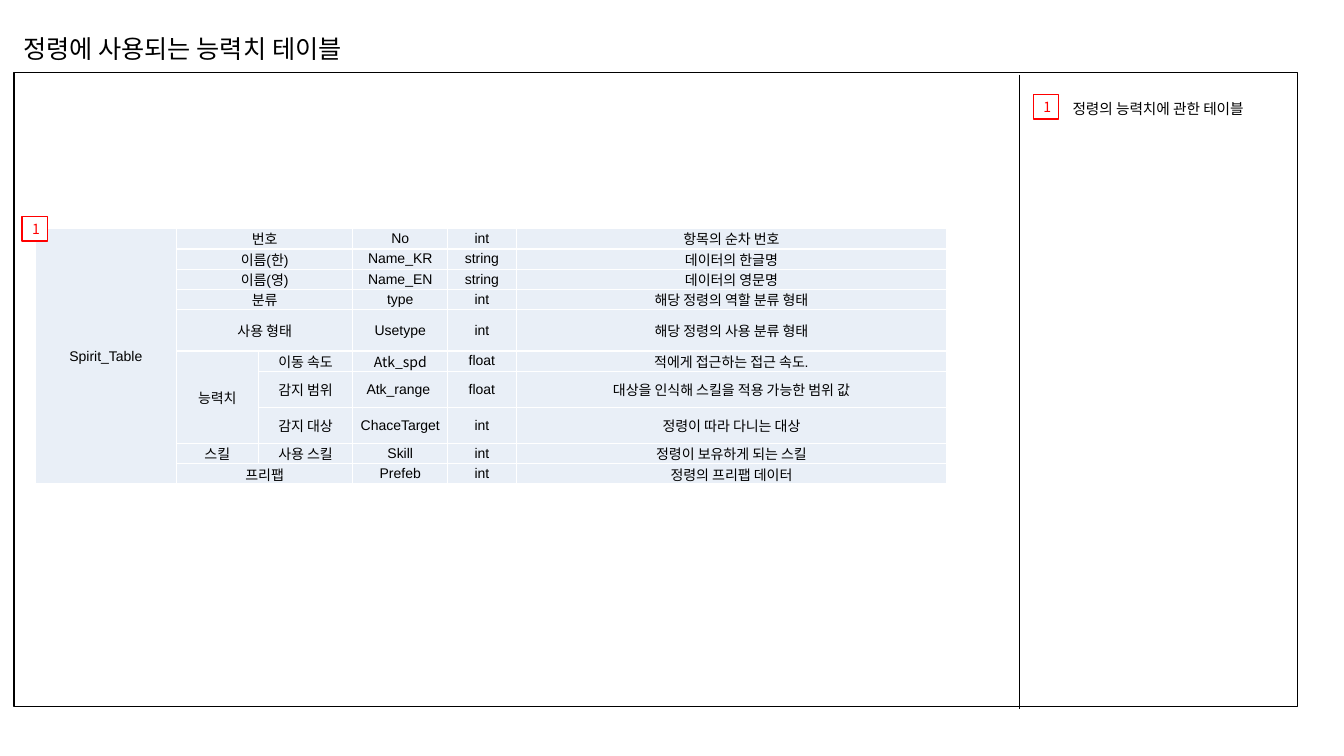
from lxml import etree
from pptx import Presentation
from pptx.dml.color import RGBColor
from pptx.enum.shapes import MSO_CONNECTOR, MSO_SHAPE
from pptx.enum.text import MSO_ANCHOR, PP_ALIGN
from pptx.oxml.ns import qn
from pptx.util import Inches, Pt

LEFT, CENTER = PP_ALIGN.LEFT, PP_ALIGN.CENTER
TOP, MIDDLE = MSO_ANCHOR.TOP, MSO_ANCHOR.MIDDLE
RECTANGLE = MSO_SHAPE.RECTANGLE
STRAIGHT = MSO_CONNECTOR.STRAIGHT
TITLE_ONLY = 5

ARIAL, NOTO = "Arial", "Noto Sans CJK KR"
BLACK, WHITE, RED, PALE_BLUE = "000000", "FFFFFF", "FF0000", "E9EFF7"

COLUMN_WIDTHS = [1.4, 0.81, 0.94, 0.94, 0.68, 4.27]
ROW_HEIGHTS = [0.2, 0.2, 0.2, 0.2, 0.41, 0.2, 0.36, 0.36, 0.2, 0.2]
FIELDS = [
    ("번호", None, "No", "int", "항목의 순차 번호"),
    ("이름(한)", None, "Name_KR", "string", "데이터의 한글명"),
    ("이름(영)", None, "Name_EN", "string", "데이터의 영문명"),
    ("분류", None, "type", "int", "해당 정령의 역할 분류 형태"),
    ("사용 형태", None, "Usetype", "int", "해당 정령의 사용 분류 형태"),
    ("능력치", "이동 속도", "Atk_spd", "float", "적에게 접근하는 접근 속도."),
    (None, "감지 범위", "Atk_range ", "float", "대상을 인식해 스킬을 적용 가능한 범위 값"),
    (None, "감지 대상", "ChaceTarget", "int", "정령이 따라 다니는 대상"),
    ("스킬", "사용 스킬", "Skill", "int", "정령이 보유하게 되는 스킬"),
    ("프리팹", None, "Prefeb", "int", "정령의 프리팹 데이터"),
]
NOTO_TEXTS = {
    "Atk_spd", "해당 정령의 사용 분류 형태", "사용 스킬",
    "대상을 인식해 스킬을 적용 가능한 범위 값", "정령이 따라 다니는 대상",
}


def color(value):
    return RGBColor.from_string(value)


def write(frame, text, size=10, font=NOTO, fill=BLACK, align=LEFT):
    para = frame.paragraphs[0]
    para.alignment = align
    span = para.add_run()
    span.text = text
    span.font.size = Pt(size)
    span.font.name = font
    span.font.color.rgb = color(fill)
    east_asian = etree.SubElement(span.font._element, qn("a:ea"))
    east_asian.set("typeface", NOTO)


def set_frame(frame, anchor=TOP):
    frame.word_wrap = True
    frame.vertical_anchor = anchor
    frame.margin_left = frame.margin_right = Inches(0.1)
    frame.margin_top = frame.margin_bottom = Inches(0.05)


def add_title(page, text):
    title = page.shapes.title
    title.left, title.top = Inches(0.13), Inches(0.28)
    title.width, title.height = Inches(3.75), Inches(0.4)
    set_frame(title.text_frame)
    write(title.text_frame, text, size=18)


def add_box(page, left, top, width, height, line, fill=None):
    box = page.shapes.add_shape(RECTANGLE, Inches(left), Inches(top), Inches(width), Inches(height))
    box.shadow.inherit = False
    box.line.color.rgb = color(line)
    box.line.width = Pt(1)
    if fill:
        box.fill.solid()
        box.fill.fore_color.rgb = color(fill)
    else:
        box.fill.background()
    return box


def add_marker(page, left, top, text):
    marker = add_box(page, left, top, 0.25, 0.24, RED, WHITE)
    set_frame(marker.text_frame, MIDDLE)
    write(marker.text_frame, text, fill=RED, align=CENTER)


def add_note(page, left, top, width, height, text):
    note = page.shapes.add_textbox(Inches(left), Inches(top), Inches(width), Inches(height))
    set_frame(note.text_frame)
    write(note.text_frame, text, size=10.5)


def add_divider(page, x, top, bottom):
    divider = page.shapes.add_connector(STRAIGHT, Inches(x), Inches(top), Inches(x), Inches(bottom))
    divider.line.color.rgb = color(BLACK)
    divider.line.width = Pt(0.75)
    etree.SubElement(divider._element.spPr, qn("a:effectLst"))


def format_cell(cell):
    cell.margin_left = cell.margin_right = cell.margin_top = cell.margin_bottom = 0
    cell.vertical_anchor = MIDDLE
    properties = cell._tc.get_or_add_tcPr()
    for side in ("lnL", "lnR", "lnT", "lnB"):
        border = etree.SubElement(properties, qn(f"a:{side}"), w=str(Pt(1)))
        paint = etree.SubElement(border, qn("a:solidFill"))
        etree.SubElement(paint, qn("a:srgbClr"), val=WHITE)
    cell.fill.solid()
    cell.fill.fore_color.rgb = color(PALE_BLUE)


def add_field_table(page, left, top):
    row_count, column_count = len(ROW_HEIGHTS), len(COLUMN_WIDTHS)
    table = page.shapes.add_table(
        row_count, column_count, Inches(left), Inches(top),
        Inches(sum(COLUMN_WIDTHS)), Inches(sum(ROW_HEIGHTS))).table
    table.first_row = table.horz_banding = False
    for column, width in zip(table.columns, COLUMN_WIDTHS):
        column.width = Inches(width)
    for row, height in zip(table.rows, ROW_HEIGHTS):
        row.height = Inches(height)

    for row_index, field in enumerate(FIELDS):
        name = "Spirit_Table" if row_index == 0 else None
        for column_index, text in enumerate((name, *field)):
            cell = table.cell(row_index, column_index)
            format_cell(cell)
            if text:
                font = NOTO if text in NOTO_TEXTS else ARIAL
                write(cell.text_frame, text, font=font, align=CENTER)
        if field[0] and not field[1]:
            table.cell(row_index, 1).merge(table.cell(row_index, 2))
    table.cell(0, 0).merge(table.cell(row_count - 1, 0))
    table.cell(5, 1).merge(table.cell(7, 1))


def main():
    deck = Presentation()
    deck.slide_width, deck.slide_height = Inches(13.33), Inches(7.5)
    page = deck.slides.add_slide(deck.slide_layouts[TITLE_ONLY])
    add_title(page, "정령에 사용되는 능력치 테이블")
    add_field_table(page, 0.35, 2.27)
    add_box(page, 0.14, 0.72, 12.73, 6.29, BLACK)
    add_divider(page, 10.11, 0.74, 7.03)
    add_marker(page, 10.25, 0.94, "1")
    add_note(page, 10.54, 0.94, 2.27, 0.28, "정령의 능력치에 관한 테이블")
    add_marker(page, 0.22, 2.15, "1")
    deck.save("out.pptx")


if __name__ == "__main__":
    main()
